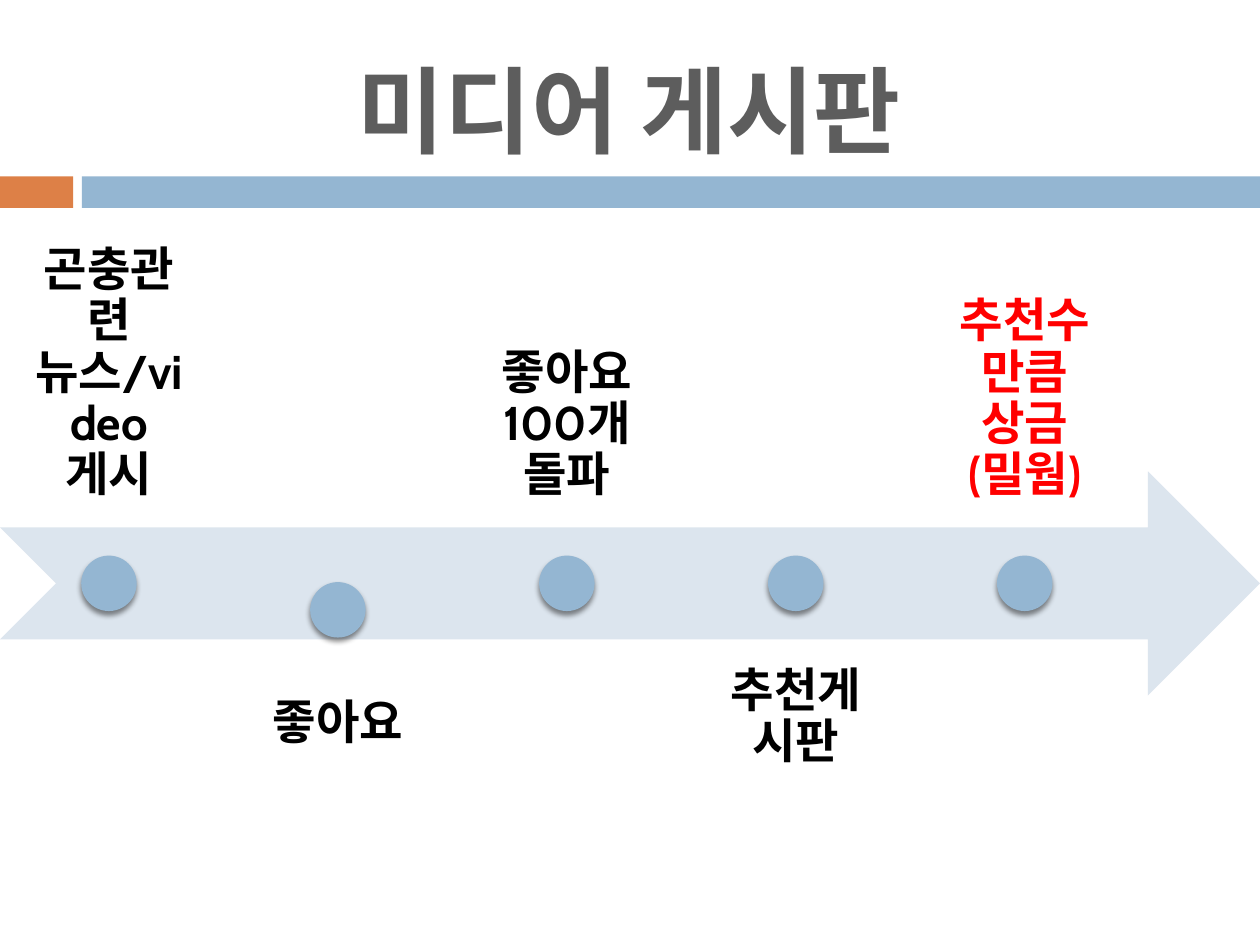
import pptx
import pptx.dml.color
import pptx.enum.shapes
import pptx.enum.text
import pptx.oxml
import pptx.oxml.ns
import pptx.util

Inches = pptx.util.Inches
Pt = pptx.util.Pt
RGBColor = pptx.dml.color.RGBColor
SHAPE = pptx.enum.shapes.MSO_SHAPE
ANCHOR = pptx.enum.text.MSO_ANCHOR
CENTER = pptx.enum.text.PP_ALIGN.CENTER

BLUE = RGBColor(0x94, 0xB6, 0xD2)
PALE_BLUE = RGBColor(0xDC, 0xE5, 0xEE)
ORANGE = RGBColor(0xDD, 0x80, 0x47)
GRAY = RGBColor(0x5D, 0x5D, 0x5D)
BLACK = RGBColor(0, 0, 0)
RED = RGBColor(0xFF, 0, 0)
FONT = "Cabin"

TITLE = "미디어 게시판"
ABOVE = (2.41, 1.78, ANCHOR.BOTTOM)
BELOW = (5.08, 1.78, ANCHOR.TOP)
BELOW_LOW = (5.34, 0.96, ANCHOR.TOP)
STEPS = [
    ("곤충관련 뉴스/video 게시", ABOVE, 4.41, BLACK),
    ("좋아요", BELOW_LOW, 4.62, BLACK),
    ("좋아요 100개 돌파", ABOVE, 4.41, BLACK),
    ("추천게시판", BELOW, 4.41, BLACK),
    ("추천수 만큼 상금(밀웜)", ABOVE, 4.41, RED),
]
STEP_WIDTH = 1.73
STEP_PITCH = 1.817
DOT_SIZE = 0.44
INSET = 0.21

SHADOW = (
    f'<a:effectLst {pptx.oxml.ns.nsdecls("a")}>'
    '<a:outerShdw blurRad="38100" dist="30480" dir="5400000" rotWithShape="0">'
    '<a:srgbClr val="000000"><a:alpha val="45000"/></a:srgbClr>'
    '</a:outerShdw></a:effectLst>'
)


def add_filled(slide, kind, box, color):
    shape = slide.shapes.add_shape(kind, *map(Inches, box))
    shape.shadow.inherit = False
    shape.fill.solid()
    shape.fill.fore_color.rgb = color
    shape.line.fill.background()
    return shape


def add_dot(slide, left, top):
    dot = add_filled(slide, SHAPE.OVAL, (left, top, DOT_SIZE, DOT_SIZE), BLUE)
    properties = dot._element.spPr
    properties.remove(properties.find(pptx.oxml.ns.qn("a:effectLst")))
    properties.append(pptx.oxml.parse_xml(SHADOW))


def style(paragraph, size, color):
    paragraph.alignment = CENTER
    paragraph.font.name = FONT
    paragraph.font.size = Pt(size)
    paragraph.font.bold = True
    paragraph.font.color.rgb = color


def add_label(slide, text, left, placement, color):
    top, height, anchor = placement
    label = slide.shapes.add_textbox(
        *map(Inches, (left, top, STEP_WIDTH, height))).text_frame
    label.word_wrap = True
    label.vertical_anchor = anchor
    label.margin_left = label.margin_right = Inches(INSET)
    label.margin_top = label.margin_bottom = Inches(INSET)
    label.text = text
    label.paragraphs[0].line_spacing = 0.9
    style(label.paragraphs[0], 27, color)


def main():
    deck = pptx.Presentation()
    deck.slide_width, deck.slide_height = Inches(10), Inches(7.5)
    slide = deck.slides.add_slide(deck.slide_layouts[5])

    title = slide.shapes.title
    title.left, title.top, title.width, title.height = map(
        Inches, (2.49, 0.36, 5.01, 1.01))
    title.text_frame.text = TITLE
    title.text_frame.word_wrap = False
    title.text_frame.vertical_anchor = ANCHOR.TOP
    title.text_frame.auto_size = pptx.enum.text.MSO_AUTO_SIZE.SHAPE_TO_FIT_TEXT
    style(title.text_frame.paragraphs[0], 54, GRAY)

    add_filled(slide, SHAPE.RECTANGLE, (0, 1.4, 0.58, 0.25), ORANGE)
    add_filled(slide, SHAPE.RECTANGLE, (0.65, 1.4, 9.35, 0.25), BLUE)
    add_filled(slide, SHAPE.NOTCHED_RIGHT_ARROW, (0, 3.74, 10, 1.78), PALE_BLUE)

    for index, (text, placement, dot_top, color) in enumerate(STEPS):
        left = index * STEP_PITCH
        add_label(slide, text, left, placement, color)
        add_dot(slide, left + (STEP_WIDTH - DOT_SIZE) / 2, dot_top)

    deck.save("out.pptx")


if __name__ == "__main__":
    main()
